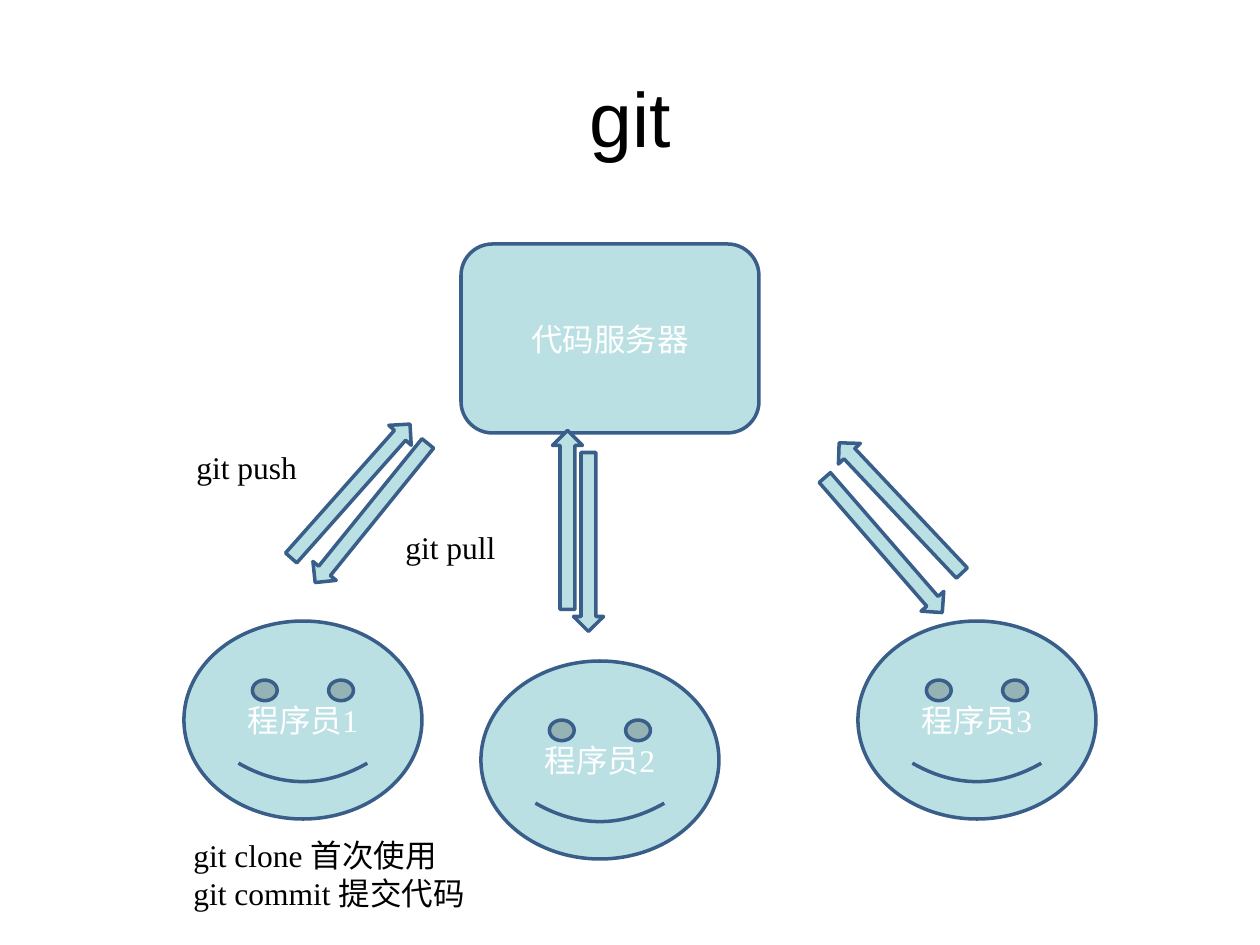
from pptx import Presentation
from pptx.dml.color import RGBColor
from pptx.enum.shapes import MSO_SHAPE
from pptx.enum.text import MSO_ANCHOR, MSO_AUTO_SIZE, PP_ALIGN
from pptx.util import Emu, Pt

PX = 914400 / 126
ROUNDED = MSO_SHAPE.ROUNDED_RECTANGLE
SMILEY = MSO_SHAPE.SMILEY_FACE
LEFT_ARROW = MSO_SHAPE.LEFT_ARROW
LEFT, CENTER = PP_ALIGN.LEFT, PP_ALIGN.CENTER
TOP, MIDDLE = MSO_ANCHOR.TOP, MSO_ANCHOR.MIDDLE
FIT_TEXT = MSO_AUTO_SIZE.SHAPE_TO_FIT_TEXT

COLORS = {"fill": "BBE0E3", "line": "395E8A", "dark": "000000", "light": "FFFFFF"}
SANS, SERIF = "Arial", "Times New Roman"


def px(*lengths):
    return [Emu(round(length * PX)) for length in lengths]


def color(name):
    return RGBColor.from_string(COLORS[name])


def write_text(frame, lines, size=18, ink="dark", align=LEFT, anchor=TOP, wrap=True):
    """Write lines, each one a list of (text, font name) runs."""
    frame.word_wrap = wrap
    frame.vertical_anchor = anchor
    for index, runs in enumerate(lines):
        paragraph = frame.add_paragraph() if index else frame.paragraphs[0]
        paragraph.alignment = align
        for text, font_name in runs:
            run = paragraph.add_run()
            run.text = text
            run.font.name = font_name
            run.font.size = Pt(size)
            run.font.color.rgb = color(ink)


class GitDiagram:
    ARROW_SIZE = (179, 30)
    FACE_SIZE = (238, 198)

    def __init__(self, slide):
        self.slide = slide

    def shape(self, kind, box, runs=None):
        shape = self.slide.shapes.add_shape(kind, *px(*box))
        shape.shadow.inherit = False
        shape.fill.solid()
        shape.fill.fore_color.rgb = color("fill")
        shape.line.color.rgb = color("line")
        shape.line.width = Pt(2)
        if runs:
            write_text(shape.text_frame, [runs], ink="light", align=CENTER, anchor=MIDDLE)
        return shape

    def title(self, text, box):
        frame = self.slide.shapes.add_textbox(*px(*box)).text_frame
        write_text(frame, [[(text, SANS)]], size=44, align=CENTER, anchor=MIDDLE)

    def server(self, text, box):
        self.shape(ROUNDED, box, [(text, SANS)])

    def programmer(self, number, left, top):
        runs = [("程序员", SANS), (str(number), SERIF)]
        self.shape(SMILEY, (left, top, *self.FACE_SIZE), runs)

    def arrow(self, left, top, angle):
        self.shape(LEFT_ARROW, (left, top, *self.ARROW_SIZE)).rotation = angle

    def note(self, lines, box):
        frame = self.slide.shapes.add_textbox(*px(*box)).text_frame
        write_text(frame, [[(line, SERIF)] for line in lines], wrap=False)
        frame.auto_size = FIT_TEXT


def main():
    presentation = Presentation()
    presentation.slide_width, presentation.slide_height = px(1260, 945)
    diagram = GitDiagram(presentation.slides.add_slide(presentation.slide_layouts[6]))

    diagram.title("git", (63, 38, 1134, 158))
    diagram.server("代码服务器", (461, 244, 298, 189))
    for number, (left, top) in enumerate([(184, 621), (481, 661), (858, 621)], 1):
        diagram.programmer(number, left, top)

    arrows = [
        (261, 476, 131.6), (282, 498, 309),
        (478, 505, 90), (499, 527, 270),
        (811, 493, 46.7), (794, 530, 229),
    ]
    for left, top, angle in arrows:
        diagram.arrow(left, top, angle)

    diagram.note(["git push"], (184, 442, 126, 50))
    diagram.note(["git pull"], (393, 522, 115, 50))
    diagram.note(["git clone 首次使用", "git commit 提交代码"], (181, 830, 304, 88))

    presentation.save("out.pptx")


if __name__ == "__main__":
    main()
